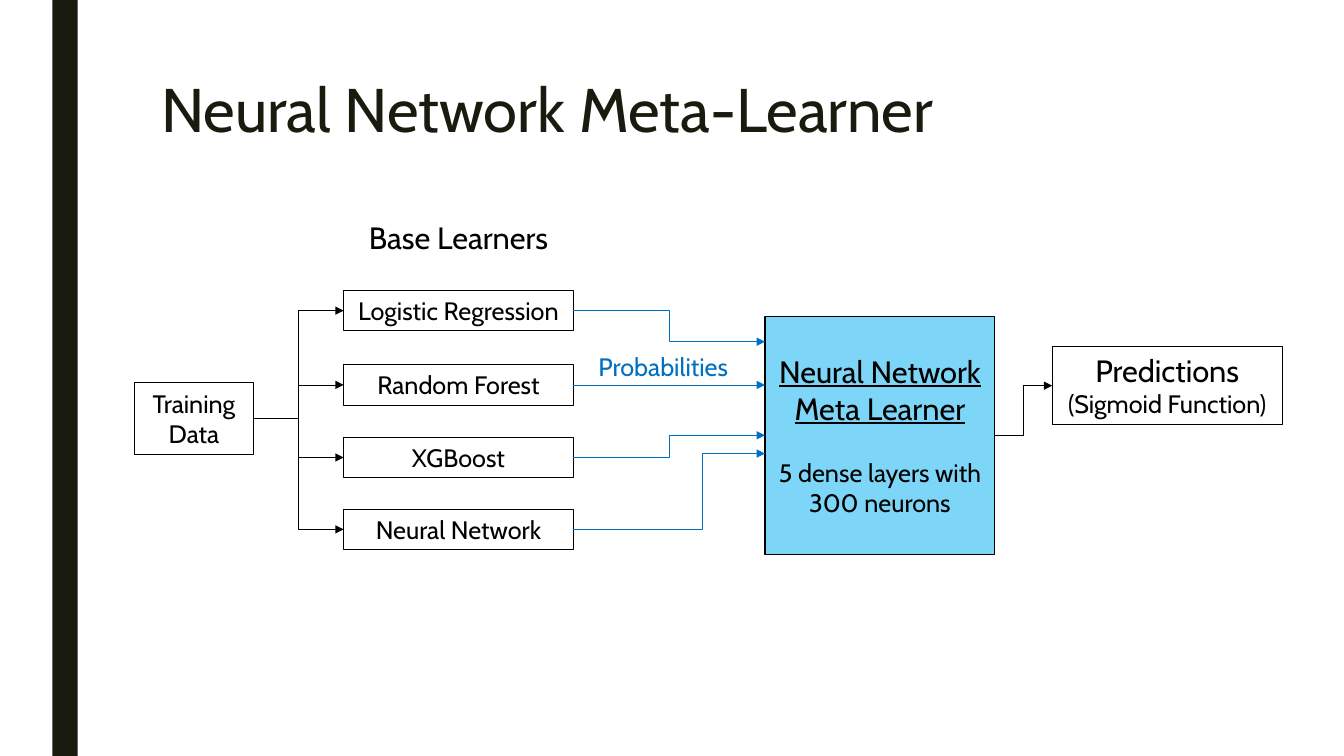
from lxml import etree
from pptx import Presentation
from pptx.dml.color import RGBColor
from pptx.enum.shapes import MSO_CONNECTOR as Link, MSO_SHAPE as Preset
from pptx.enum.text import MSO_ANCHOR as Anchor, PP_ALIGN as Align
from pptx.oxml.ns import qn
from pptx.util import Cm, Pt

FONT = "Cabin"
BLACK, DARK, BLUE, SKY = "000000", "191B0E", "0070C0", "00B0F0"

# Places are left, top, width, height in centimetres.
BAR = (1.32, 0, 0.64, 19.05)
TITLE = ("Neural Network Meta-Learner", (3.81, 1.9, 26.67, 4.11))
TRAINING = (["Training", "Data"], (3.38, 9.65, 3.02, 1.8))
COLUMN_LEFT, STAGE_WIDTH, ROW_HEIGHT = 8.66, 5.79, 1.02
HEADING = ("Base Learners", (COLUMN_LEFT, 5.38, STAGE_WIDTH, 1.19))
# name, top, height where its arrow enters the meta learner, bend along the way
LEARNERS = [
    ("Logistic Regression", 7.32, 8.61, 0.5),
    ("Random Forest", 9.19, 9.7, 0.5),
    ("XGBoost", 11.02, 10.97, 0.5),
    ("Neural Network", 12.83, 11.43, 0.675),
]
META_NAME, META_DETAIL = "Neural Network Meta Learner", "5 dense layers with 300 neurons"
META_PLACE = (19.28, 7.98, STAGE_WIDTH, 5.99)
PROBABILITIES = ("Probabilities", (13.82, 8.74, STAGE_WIDTH, ROW_HEIGHT))
PREDICTIONS, FUNCTION = "Predictions", "(Sigmoid Function)"
PREDICTIONS_PLACE = (26.52, 8.74, STAGE_WIDTH, 1.96)

deck = Presentation()
deck.slide_width, deck.slide_height = Cm(33.87), Cm(19.05)
slide = deck.slides.add_slide(deck.slide_layouts[6])


def rgb(color):
    return RGBColor.from_string(color)


def write(frame, text, size=18, color=BLACK, align=Align.CENTER,
          underline=False, before=None, spacing=None):
    """Add one paragraph, using the first one while it is still empty."""
    first = frame.paragraphs[0]
    paragraph = frame.add_paragraph() if first.runs else first
    paragraph.alignment = align
    if before is not None:
        paragraph.space_before = Pt(before)
    if spacing is not None:
        paragraph.line_spacing = spacing
    run = paragraph.add_run()
    run.text = text
    run.font.name, run.font.size = FONT, Pt(size)
    run.font.underline = underline
    run.font.color.rgb = rgb(color)


def add_label(text, place, **look):
    frame = slide.shapes.add_textbox(*map(Cm, place)).text_frame
    frame.word_wrap = True
    write(frame, text, **look)


def add_box(place, fill=None, opacity=None, line=BLACK):
    box = slide.shapes.add_shape(Preset.RECTANGLE, *map(Cm, place))
    box.shadow.inherit = False
    if fill:
        box.fill.solid()
        box.fill.fore_color.rgb = rgb(fill)
    else:
        box.fill.background()
    if opacity:
        shade = box.fill._xPr.find(".//" + qn("a:srgbClr"))
        etree.SubElement(shade, qn("a:alpha"), val=str(opacity * 1000))
    if line:
        box.line.color.rgb = rgb(line)
        box.line.width = Pt(0.75)
    else:
        box.line.fill.background()
    box.text_frame.word_wrap = True
    box.text_frame.vertical_anchor = Anchor.TOP
    return box


def middle(box):
    return box.top + box.height // 2


def add_arrow(source, target, color=BLACK, entry=None, bend=0.5):
    """Join two boxes; entry is a height on the target's left side."""
    start = middle(source)
    end = middle(target) if entry is None else Cm(entry)
    straight = abs(end - start) < Cm(0.02)
    arrow = slide.shapes.add_connector(
        Link.STRAIGHT if straight else Link.ELBOW,
        source.left + source.width, start, target.left, start if straight else end)
    if entry is None:
        arrow.begin_connect(source, 3)
        arrow.end_connect(target, 1)
    arrow.line.color.rgb = rgb(color)
    arrow.line.width = Pt(0.5)
    properties = arrow._element.spPr
    etree.SubElement(properties.find(qn("a:ln")), qn("a:tailEnd"), type="triangle")
    etree.SubElement(properties, qn("a:effectLst"))
    if bend != 0.5:
        guides = properties.find(".//" + qn("a:avLst"))
        etree.SubElement(guides, qn("a:gd"), name="adj1", fmla=f"val {round(bend * 100000)}")


add_box(BAR, fill=DARK, line=None)
add_label(*TITLE, size=44, color=DARK, align=Align.LEFT, spacing=0.89)
add_label(*HEADING, size=22)

training_lines, training_place = TRAINING
training = add_box(training_place)
for word in training_lines:
    write(training.text_frame, word)

meta = add_box(META_PLACE, fill=SKY, opacity=51)
meta.text_frame.margin_top = Cm(0.9)
write(meta.text_frame, META_NAME, size=22, underline=True)
write(meta.text_frame, META_DETAIL, before=22)

for name, top, entry, bend in LEARNERS:
    learner = add_box((COLUMN_LEFT, top, STAGE_WIDTH, ROW_HEIGHT))
    write(learner.text_frame, name)
    add_arrow(training, learner)
    add_arrow(learner, meta, color=BLUE, entry=entry, bend=bend)
add_label(*PROBABILITIES, color=BLUE)

predictions = add_box(PREDICTIONS_PLACE)
write(predictions.text_frame, PREDICTIONS, size=22)
write(predictions.text_frame, FUNCTION)
add_arrow(meta, predictions)

deck.save("out.pptx")
